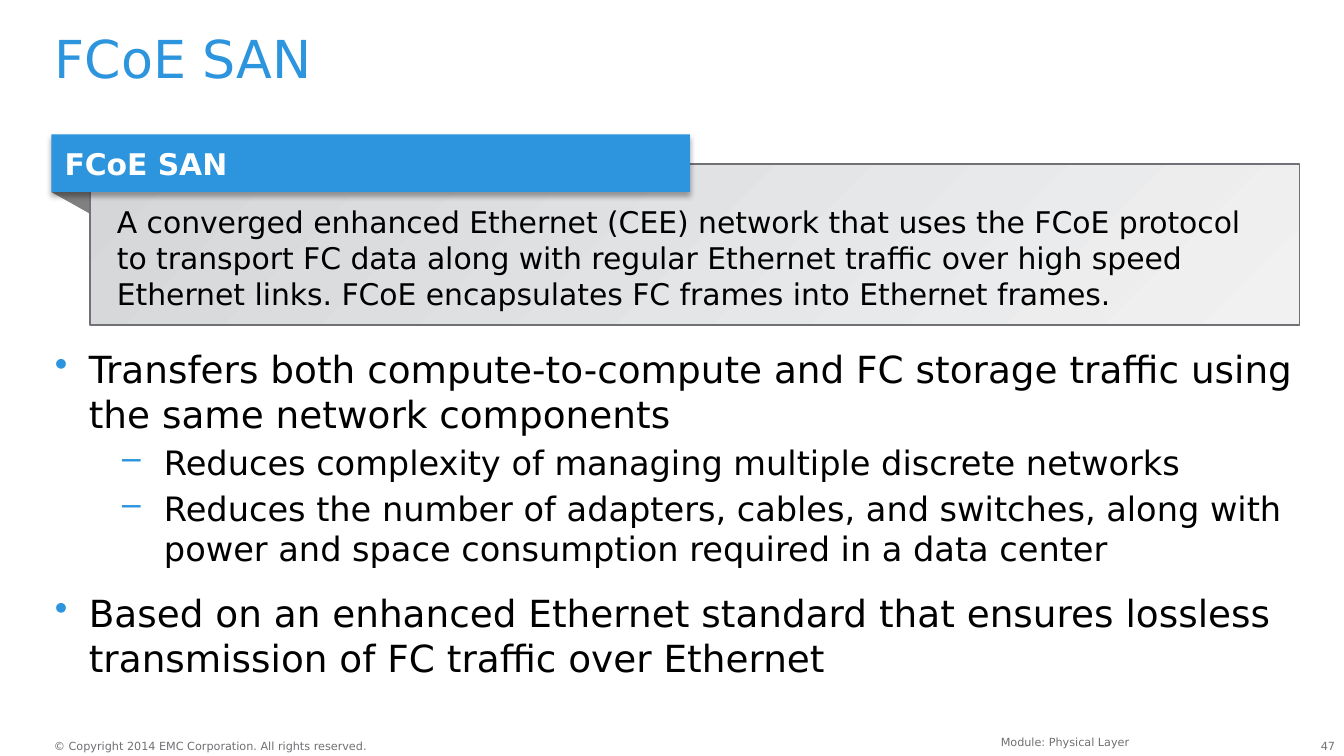
"""Build the FCoE SAN definition slide."""
import pptx
import pptx.dml.color
import pptx.enum.shapes
import pptx.enum.text
import pptx.oxml
import pptx.oxml.ns
import pptx.util

Cm, Pt = pptx.util.Cm, pptx.util.Pt
ALIGN = pptx.enum.text.PP_ALIGN
ANCHOR = pptx.enum.text.MSO_ANCHOR
FONT = "DejaVu Sans"
BLUE, GREY, BLACK, WHITE = "2C95DD", "717074", "000000", "FFFFFF"
NS = pptx.oxml.ns.nsdecls("a")
LEFT, BODY_WIDTH = 1.04, 23.5

DEFINITION = (
    "A converged enhanced Ethernet (CEE) network that uses the FCoE protocol to "
    "transport FC data along with regular Ethernet traffic over high speed Ethernet "
    "links. FCoE encapsulates FC frames into Ethernet frames."
)
POINTS = [
    (0, "Transfers both compute-to-compute and FC storage traffic using the same "
        "network components"),
    (1, "Reduces complexity of managing multiple discrete networks"),
    (1, "Reduces the number of adapters, cables, and switches, along with power and "
        "space consumption required in a data center"),
    (0, "Based on an enhanced Ethernet standard that ensures lossless transmission "
        "of FC traffic over Ethernet"),
]
LEVELS = [
    {"bullet": "•", "margin": 0.64, "hang": 0.64, "size": 20, "before": 12},
    {"bullet": "–", "margin": 2.06, "hang": 0.79, "size": 18, "before": 3},
]


def rgb(value):
    """Turn a hex string into a colour."""
    return pptx.dml.color.RGBColor.from_string(value)


def set_frame(tf, insets=(0, 0, 0, 0), anchor=ANCHOR.TOP, wrap=True):
    """Set the insets in cm, the anchor and the wrapping of a text frame."""
    tf.margin_left, tf.margin_top, tf.margin_right, tf.margin_bottom = map(Cm, insets)
    tf.vertical_anchor = anchor
    tf.word_wrap = wrap


def write(p, text, size=16, color=BLACK, bold=False, align=ALIGN.LEFT,
          before=0, spacing=None):
    """Write formatted text into a paragraph."""
    p.alignment = align
    p.space_before = Pt(before)
    if spacing:
        p.line_spacing = spacing
    r = p.add_run()
    r.text = text
    r.font.name = FONT
    r.font.size = Pt(size)
    r.font.bold = bold
    r.font.color.rgb = rgb(color)


def add_text(s, box, text, wrap=True, **fmt):
    """Add a text box with one paragraph."""
    tf = s.shapes.add_textbox(*map(Cm, box)).text_frame
    set_frame(tf, wrap=wrap)
    write(tf.paragraphs[0], text, **fmt)


def add_bullets(s, box, points):
    """Add a two-level bulleted list."""
    tf = s.shapes.add_textbox(*map(Cm, box)).text_frame
    set_frame(tf)
    for i, (depth, text) in enumerate(points):
        level = LEVELS[depth]
        p = tf.add_paragraph() if i else tf.paragraphs[0]
        p.level = depth
        pPr = p._p.get_or_add_pPr()
        pPr.set("marL", str(Cm(level["margin"])))
        pPr.set("indent", str(-Cm(level["hang"])))
        for xml in (f'<a:buClr {NS}><a:srgbClr val="{BLUE}"/></a:buClr>',
                    f'<a:buChar {NS} char="{level["bullet"]}"/>'):
            pPr.append(pptx.oxml.parse_xml(xml))
        write(p, text, size=level["size"], before=level["before"] if i else 0)


def add_rect(s, box):
    """Add a rectangle without shadow or outline."""
    sp = s.shapes.add_shape(pptx.enum.shapes.MSO_SHAPE.RECTANGLE, *map(Cm, box))
    sp.shadow.inherit = False
    sp.line.fill.background()
    return sp


def add_fold(s, points, color):
    """Add the folded ribbon corner as a filled outline."""
    start, *rest = [(Cm(x), Cm(y)) for x, y in points]
    builder = s.shapes.build_freeform(*start)
    builder.add_line_segments(rest)
    sp = builder.convert_to_shape()
    sp.shadow.inherit = False
    sp.fill.solid()
    sp.fill.fore_color.rgb = rgb(color)
    sp.line.fill.background()


def add_card(s, box, text):
    """Add the outlined gradient card that holds the definition."""
    sp = add_rect(s, box)
    sp.fill.gradient()
    sp.fill.gradient_angle = 315
    for stop, (position, color) in zip(sp.fill.gradient_stops,
                                       [(0, "D4D6D8"), (1, "F1F1F2")]):
        stop.position = position
        stop.color.rgb = rgb(color)
    sp.line.color.rgb = rgb(GREY)
    sp.line.width = Pt(1)
    set_frame(sp.text_frame, (0.51, 0.76, 0.51, 0.13))
    write(sp.text_frame.paragraphs[0], text)


def add_banner(s, box, text):
    """Add the blue heading ribbon with a soft shadow."""
    sp = add_rect(s, box)
    sp.fill.solid()
    sp.fill.fore_color.rgb = rgb(BLUE)
    effects = sp._element.spPr.find(pptx.oxml.ns.qn("a:effectLst"))
    effects.append(pptx.oxml.parse_xml(
        f'<a:outerShdw {NS} blurRad="{Pt(3.1)}" dist="{Pt(1.8)}" dir="5400000" '
        f'rotWithShape="0"><a:srgbClr val="{BLACK}"><a:alpha val="35000"/>'
        '</a:srgbClr></a:outerShdw>'))
    set_frame(sp.text_frame, (0.25, 0.13, 0.25, 0.13), ANCHOR.MIDDLE)
    write(sp.text_frame.paragraphs[0], text, color=WHITE, bold=True)


def main():
    """Build and save the slide."""
    prs = pptx.Presentation()
    prs.slide_width, prs.slide_height = Cm(25.4), Cm(14.29)
    s = prs.slides.add_slide(prs.slide_layouts[6])

    small = {"size": 6, "color": GREY}
    add_text(s, (24.43, 13.97, 0.8, 0.25), "47", align=ALIGN.RIGHT, **small)
    add_text(s, (1.02, 13.97, 6.02, 0.25),
             "© Copyright 2014 EMC Corporation. All rights reserved.",
             wrap=False, **small)
    add_text(s, (7.19, 13.89, 14.15, 0.25), "Module: Physical Layer",
             align=ALIGN.RIGHT, **small)

    add_text(s, (LEFT, 0.64, BODY_WIDTH, 1.27), "FCoE SAN",
             size=28, color=BLUE, spacing=0.9)
    add_bullets(s, (LEFT, 6.55, BODY_WIDTH, 5.74), POINTS)

    add_fold(s, [(0.97, 3.63), (1.7, 3.63), (1.7, 4.04)], "808080")
    add_card(s, (1.7, 3.1, 22.86, 3.05), DEFINITION)
    add_banner(s, (0.97, 2.54, 12.07, 1.09), "FCoE SAN")
    prs.save("out.pptx")


if __name__ == "__main__":
    main()
